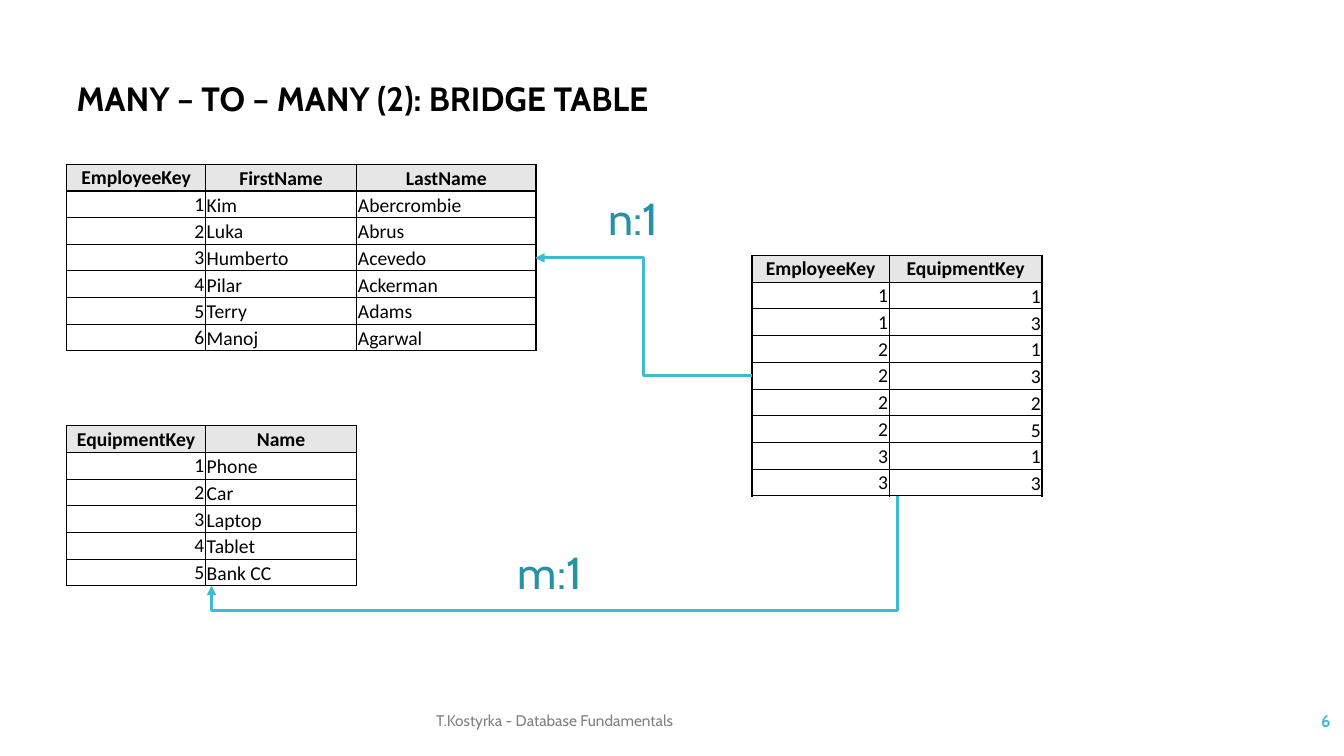
from dataclasses import dataclass

from lxml import etree
from pptx import Presentation
from pptx.dml.color import RGBColor
from pptx.enum import shapes, text
from pptx.oxml import ns
from pptx.shapes.connector import Connector
from pptx.slide import Slide
from pptx.text.text import TextFrame
from pptx.util import Cm, Pt

Align = text.PP_ALIGN
Anchor = text.MSO_ANCHOR


@dataclass(frozen=True)
class Theme:
    ink: str = "000000"
    head: str = "E7E6E6"
    line: str = "40BAD2"
    note: str = "2791A6"
    grey: str = "808080"
    main: str = "Cabin"
    grid: str = "Calibri"
    title: int = 24
    ratio: int = 32
    cell: int = 14
    page: int = 12
    foot: int = 11
    arrow: float = 2.25
    thick: float = 1
    thin: float = 0.5


@dataclass(frozen=True)
class Style:
    size: int
    color: str
    font: str
    bold: bool = False
    align: Align = Align.LEFT
    anchor: Anchor = Anchor.TOP


@dataclass(frozen=True)
class Box:
    left: float
    top: float
    width: float
    height: float


@dataclass(frozen=True)
class Label:
    words: str
    box: Box
    style: Style


@dataclass(frozen=True)
class Grid:
    left: float
    top: float
    height: float
    cols: tuple[float, ...]
    rows: list[tuple[str, ...]]
    rule: float
    last: Anchor = Anchor.BOTTOM


@dataclass(frozen=True)
class Link:
    start: tuple[float, float]
    end: tuple[float, float]
    turn: bool = False
    bend: int = 50000


LOOK = Theme()
RATIO = Style(LOOK.ratio, LOOK.note, LOOK.main)
TITLE = Label("MANY – TO – MANY (2): BRIDGE TABLE", Box(1.68, 1.83, 27.76, 1.27),
              Style(LOOK.title, LOOK.ink, LOOK.main, True, Align.JUSTIFY))
LABELS = [
    Label("6", Box(29.54, 17.65, 4.24, 1.02),
          Style(LOOK.page, LOOK.line, LOOK.main, True, Align.RIGHT, Anchor.MIDDLE)),
    Label("T.Kostyrka - Database Fundamentals", Box(10.74, 17.65, 16.41, 1.02),
          Style(LOOK.foot, LOOK.grey, LOOK.main, anchor=Anchor.MIDDLE)),
    Label("n:1", Box(15.09, 4.67, 4.95, 1.63), RATIO),
    Label("m:1", Box(12.8, 13.59, 4.95, 1.63), RATIO),
]
GRIDS = [
    Grid(1.68, 4.14, 4.7, (3.5, 3.81, 4.52), [
        ("EmployeeKey", "FirstName", "LastName"),
        ("1", "Kim", "Abercrombie"),
        ("2", "Luka", "Abrus"),
        ("3", "Humberto", "Acevedo"),
        ("4", "Pilar", "Ackerman"),
        ("5", "Terry", "Adams"),
        ("6", "Manoj", "Agarwal"),
    ], LOOK.thick),
    Grid(1.68, 10.72, 4.04, (3.5, 3.81), [
        ("EquipmentKey", "Name"),
        ("1", "Phone"),
        ("2", "Car"),
        ("3", "Laptop"),
        ("4", "Tablet"),
        ("5", "Bank CC"),
    ], LOOK.thick),
    Grid(18.95, 6.43, 6.07, (3.46, 3.85), [
        ("EmployeeKey", "EquipmentKey"),
        ("1", "1"), ("1", "3"), ("2", "1"), ("2", "3"),
        ("2", "2"), ("2", "5"), ("3", "1"), ("3", "3"),
    ], LOOK.thin, Anchor.MIDDLE),
]
LINKS = [
    Link((18.95, 9.47), (13.49, 6.5)),
    Link((22.61, 12.5), (5.33, 14.76), True, 127900),
]


def write(frame: TextFrame, words: str, style: Style) -> None:
    frame.text = words
    frame.word_wrap = True
    frame.vertical_anchor = style.anchor
    part = frame.paragraphs[0]
    part.alignment = style.align
    part.font.name = style.font
    part.font.size = Pt(style.size)
    part.font.bold = style.bold
    part.font.color.rgb = RGBColor.from_string(style.color)


def edge(props: etree._Element, side: str, width: float) -> None:
    line = etree.SubElement(props, ns.qn(f"a:ln{side}"), w=str(Pt(width)))
    fill = etree.SubElement(line, ns.qn("a:solidFill"))
    etree.SubElement(fill, ns.qn("a:srgbClr"), val=LOOK.ink)


def draw_grid(slide: Slide, grid: Grid) -> None:
    count, wide = len(grid.rows), len(grid.cols)
    table = slide.shapes.add_table(
        count, wide, Cm(grid.left), Cm(grid.top),
        Cm(sum(grid.cols)), Cm(grid.height)).table
    table.first_row = table.horz_banding = False
    for col, width in zip(table.columns, grid.cols):
        col.width = Cm(width)
    for r, row in enumerate(grid.rows):
        table.rows[r].height = Cm(grid.height / count)
        for c, words in enumerate(row):
            cell = table.cell(r, c)
            cell.margin_left = cell.margin_right = cell.margin_top = Cm(0.03)
            cell.margin_bottom = 0
            head = r == 0
            align = (Align.CENTER if head else
                     Align.RIGHT if words.isdigit() else Align.LEFT)
            anchor = (Anchor.MIDDLE if c == 0 else
                      grid.last if head else Anchor.BOTTOM)
            write(cell.text_frame, words,
                  Style(LOOK.cell, LOOK.ink, LOOK.grid, head, align))
            cell.vertical_anchor = anchor
            props = cell._tc.get_or_add_tcPr()
            tops = {0: LOOK.thick, 1: grid.rule, count: LOOK.thick}
            edge(props, "L", LOOK.thick if c == 0 else LOOK.thin)
            edge(props, "R", LOOK.thick if c == wide - 1 else LOOK.thin)
            edge(props, "T", tops.get(r, LOOK.thin))
            edge(props, "B", tops.get(r + 1, LOOK.thin))
            if head:
                cell.fill.solid()
                cell.fill.fore_color.rgb = RGBColor.from_string(LOOK.head)
            else:
                cell.fill.background()


def draw_link(slide: Slide, link: Link) -> Connector:
    (x1, y1), (x2, y2) = link.start, link.end
    if link.turn:
        mid_x, mid_y = (x1 + x2) / 2, (y1 + y2) / 2
        half_w, half_h = (y2 - y1) / 2, (x1 - x2) / 2
        x1, x2 = mid_x - half_w, mid_x + half_w
        y1, y2 = mid_y - half_h, mid_y + half_h
    line = slide.shapes.add_connector(
        shapes.MSO_CONNECTOR.ELBOW, Cm(x1), Cm(y1), Cm(x2), Cm(y2))
    line.rotation = 90 if link.turn else 0
    line.line.color.rgb = RGBColor.from_string(LOOK.line)
    line.line.width = Pt(LOOK.arrow)
    props = line._element.spPr
    guides = props.find(f".//{ns.qn('a:avLst')}")
    etree.SubElement(guides, ns.qn("a:gd"), name="adj1", fmla=f"val {link.bend}")
    etree.SubElement(props.find(ns.qn("a:ln")), ns.qn("a:tailEnd"), type="triangle")
    etree.SubElement(props, ns.qn("a:effectLst"))
    return line


def draw_label(slide: Slide, label: Label) -> None:
    box = label.box
    shape = slide.shapes.add_textbox(
        Cm(box.left), Cm(box.top), Cm(box.width), Cm(box.height))
    write(shape.text_frame, label.words, label.style)


def main() -> None:
    deck = Presentation()
    deck.slide_width, deck.slide_height = Cm(33.87), Cm(19.05)
    slide = deck.slides.add_slide(deck.slide_layouts[5])
    title, box = slide.shapes.title, TITLE.box
    title.left, title.top = Cm(box.left), Cm(box.top)
    title.width, title.height = Cm(box.width), Cm(box.height)
    write(title.text_frame, TITLE.words, TITLE.style)
    for grid in GRIDS:
        draw_grid(slide, grid)
    for link in LINKS:
        draw_link(slide, link)
    for label in LABELS:
        draw_label(slide, label)
    deck.save("out.pptx")


if __name__ == "__main__":
    main()
